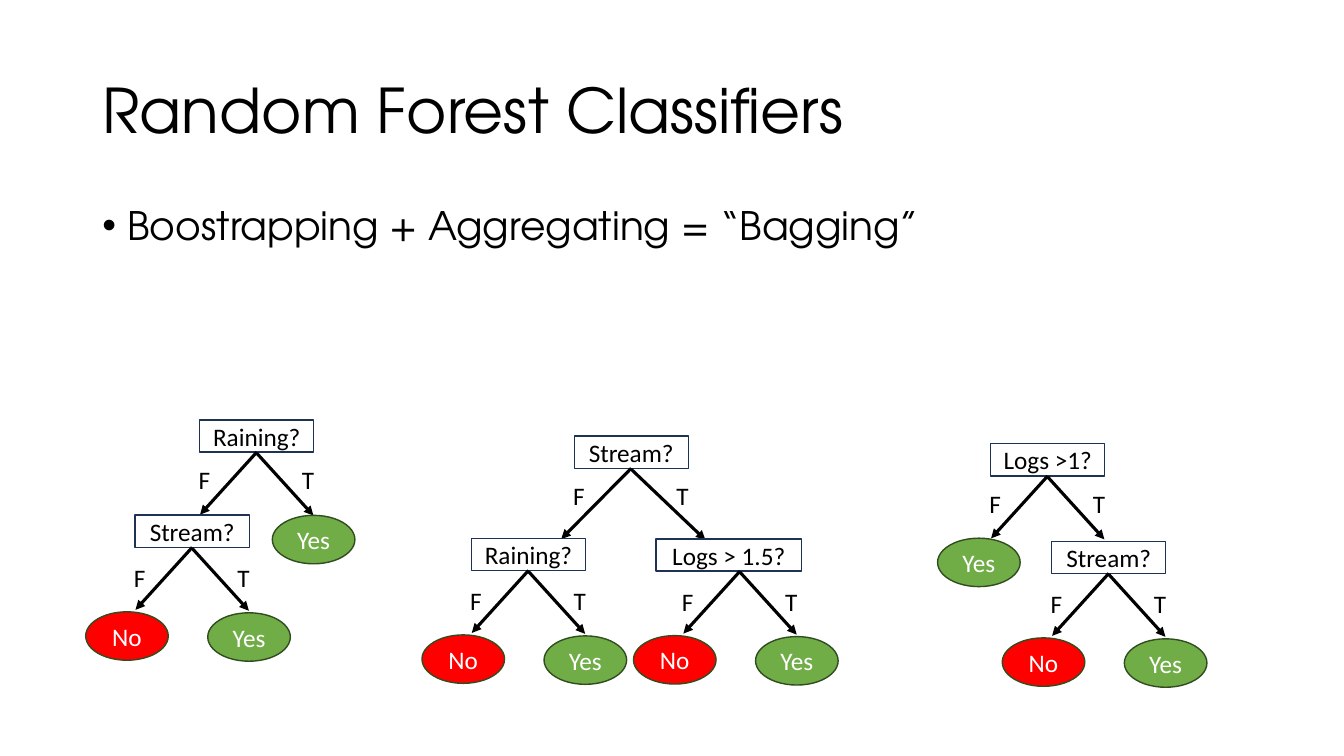
from dataclasses import dataclass

from lxml.etree import SubElement
from pptx import Presentation
from pptx.dml.color import RGBColor
from pptx.enum.shapes import MSO_CONNECTOR as Connector, MSO_SHAPE as Shape
from pptx.enum.text import MSO_ANCHOR as Anchor, MSO_AUTO_SIZE as AutoSize, PP_ALIGN as Align
from pptx.oxml.ns import qn
from pptx.util import Pt


@dataclass(frozen=True)
class Theme:
    heading_font: str = "TeX Gyre Adventor"
    tree_font: str = "Calibri"
    title_size: float = 44
    body_size: float = 28
    tree_size: float = 18
    outline_width: float = 1
    branch_width: float = 2.25
    ink: str = "000000"
    paper: str = "FFFFFF"
    question_line: str = "1E3256"
    leaf_line: str = "314C1F"
    yes: str = "70AD47"
    no: str = "FF0000"


@dataclass(frozen=True)
class Split:
    """A question at centre x and top y, whose children are splits or leaf answers."""
    question: str
    x: float
    y: float
    if_false: "Split | str" = "No"
    if_true: "Split | str" = "Yes"
    box_width: float = 81.5
    box_shift: float = 0
    reach: tuple = (-40.5, 40.5)
    drop: float = 44.6
    leaf_offsets: tuple = (-46.6, 40.6)


BOX_HEIGHT = 23
LEAF_WIDTH, LEAF_HEIGHT = 59, 34.6
LABEL_WIDTH, LABEL_HEIGHT = 23, 29
LABEL_OFFSETS = (-48.7, 25.2)
TRUE_LAG = 0.7  # the true branch sits slightly lower than the false one

FOREST = [
    Split("Raining?", 183.4, 300, if_false=Split("Stream?", 137.3, 368)),
    Split("Stream?", 450.9, 311.5,
          if_false=Split("Raining?", 377.5, 384.5),
          if_true=Split("Logs > 1.5?", 528.6, 385, box_width=103.7, box_shift=-8),
          reach=(-50, 53), drop=50.5),
    Split("Logs >1?", 748.4, 317, if_false="Yes",
          if_true=Split("Stream?", 792, 386.6), leaf_offsets=(-49.2, 40.6)),
]


def apply_format(target, values):
    for attribute, value in values.items():
        setattr(target, attribute, value)


class SlideBuilder:
    def __init__(self, slide, theme):
        self.slide = slide
        self.theme = theme

    def set_text(self, frame, text, font, size, color, frame_format, paragraph_format):
        apply_format(frame, frame_format)
        paragraph = frame.paragraphs[0]
        apply_format(paragraph, paragraph_format)
        run = paragraph.add_run()
        run.text = text
        apply_format(run.font, {"name": font, "size": Pt(size)})
        run.font.color.rgb = RGBColor.from_string(color)
        return paragraph

    def title(self, text, left, top, width, height):
        heading = self.slide.shapes.title
        apply_format(heading, {"left": Pt(left), "top": Pt(top),
                               "width": Pt(width), "height": Pt(height)})
        theme = self.theme
        self.set_text(heading.text_frame, text, theme.heading_font, theme.title_size, theme.ink,
                      {"vertical_anchor": Anchor.MIDDLE, "word_wrap": True,
                       "auto_size": AutoSize.NONE},
                      {"alignment": Align.LEFT, "line_spacing": 0.9})

    def bullet(self, text, left, top, width, height):
        body = self.slide.shapes.add_textbox(Pt(left), Pt(top), Pt(width), Pt(height))
        theme = self.theme
        paragraph = self.set_text(body.text_frame, text, theme.heading_font, theme.body_size,
                                  theme.ink, {"word_wrap": True},
                                  {"line_spacing": 0.9, "space_before": Pt(10)})
        properties = paragraph._p.get_or_add_pPr()
        properties.set("marL", str(Pt(18)))
        properties.set("indent", str(Pt(-18)))
        SubElement(properties, qn("a:buFont")).set("typeface", "Arial")
        SubElement(properties, qn("a:buChar")).set("char", "•")

    def node(self, kind, text, center, top, width, height, fill, line, color):
        shape = self.slide.shapes.add_shape(
            kind, Pt(center - width / 2), Pt(top), Pt(width), Pt(height))
        shape.shadow.inherit = False
        shape.fill.solid()
        shape.fill.fore_color.rgb = RGBColor.from_string(fill)
        shape.line.color.rgb = RGBColor.from_string(line)
        shape.line.width = Pt(self.theme.outline_width)
        self.set_text(shape.text_frame, text, self.theme.tree_font, self.theme.tree_size, color,
                      {"vertical_anchor": Anchor.MIDDLE, "word_wrap": True},
                      {"alignment": Align.CENTER})

    def leaf(self, answer, center, top):
        theme = self.theme
        fill = theme.yes if answer == "Yes" else theme.no
        self.node(Shape.OVAL, answer, center, top, LEAF_WIDTH, LEAF_HEIGHT,
                  fill, theme.leaf_line, theme.paper)

    def branch(self, x, y, dx, dy):
        arrow = self.slide.shapes.add_connector(
            Connector.STRAIGHT, Pt(x), Pt(y), Pt(x + dx), Pt(y + dy))
        arrow.line.color.rgb = RGBColor.from_string(self.theme.ink)
        arrow.line.width = Pt(self.theme.branch_width)
        properties = arrow._element.spPr
        SubElement(properties.find(qn("a:ln")), qn("a:tailEnd")).set("type", "triangle")
        SubElement(properties, qn("a:effectLst"))

    def branch_label(self, text, left, top):
        label = self.slide.shapes.add_textbox(
            Pt(left), Pt(top), Pt(LABEL_WIDTH), Pt(LABEL_HEIGHT))
        self.set_text(label.text_frame, text, self.theme.tree_font, self.theme.tree_size,
                      self.theme.ink,
                      {"word_wrap": False, "auto_size": AutoSize.SHAPE_TO_FIT_TEXT},
                      {"alignment": Align.LEFT})

    def tree(self, split, is_root=True):
        """Draws a split and, recursively, everything below it."""
        theme = self.theme
        label_drop, leaf_drop = (28.2, 67.4) if is_root else (30.3, 69)
        self.node(Shape.RECTANGLE, split.question, split.x + split.box_shift, split.y,
                  split.box_width, BOX_HEIGHT, theme.paper, theme.question_line, theme.ink)
        sides = zip("FT", (split.if_false, split.if_true), (0, TRUE_LAG),
                    split.reach, LABEL_OFFSETS, split.leaf_offsets)
        for letter, child, lag, reach, label_offset, leaf_offset in sides:
            self.branch(split.x, split.y + BOX_HEIGHT + lag, reach, split.drop)
            self.branch_label(letter, split.x + label_offset, split.y + label_drop)
            if isinstance(child, Split):
                self.tree(child, is_root=False)
            else:
                self.leaf(child, split.x + leaf_offset, split.y + leaf_drop + lag)


def main():
    deck = Presentation()
    apply_format(deck, {"slide_width": Pt(960), "slide_height": Pt(540)})
    title_only = deck.slide_layouts[5]
    builder = SlideBuilder(deck.slides.add_slide(title_only), Theme())
    builder.title("Random Forest Classifiers", 66, 28.75, 828, 104.4)
    builder.bullet("Boostrapping + Aggregating = “Bagging”", 66, 143.75, 828, 383)
    for split in FOREST:
        builder.tree(split)
    deck.save("out.pptx")


if __name__ == "__main__":
    main()
